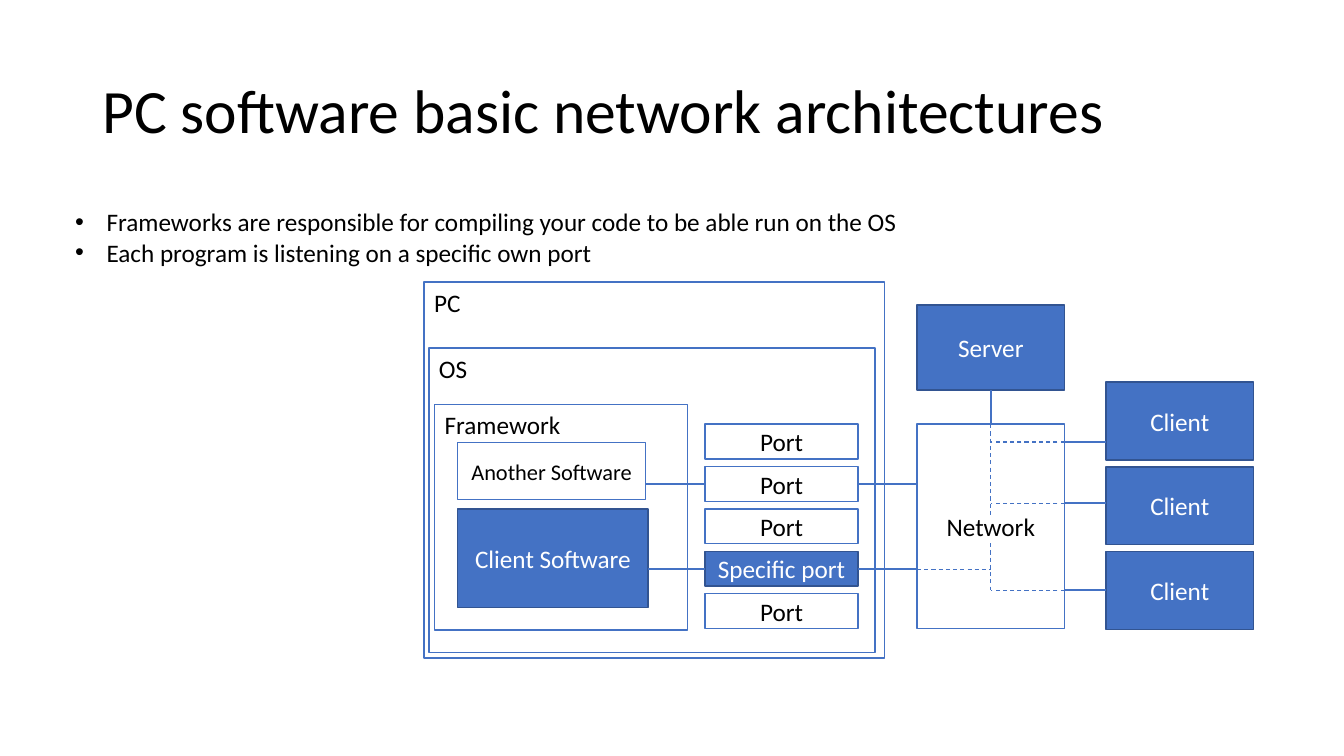
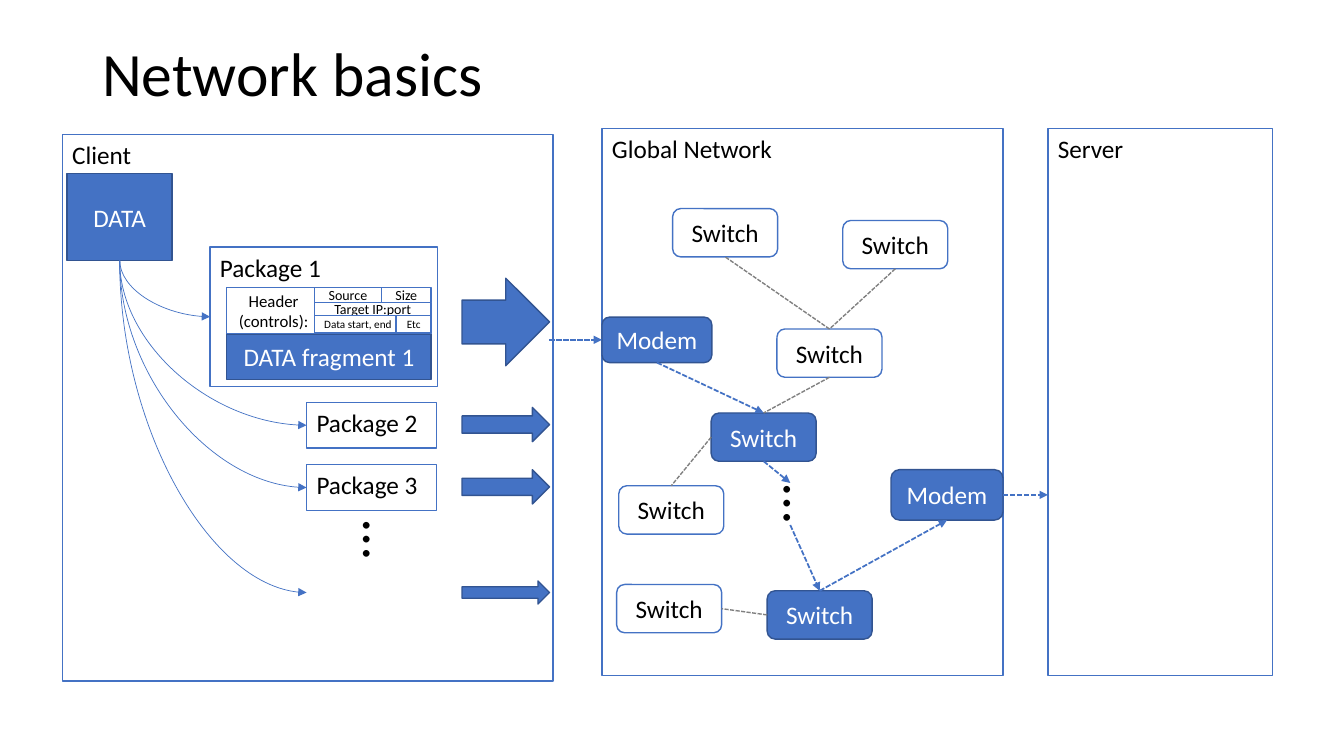
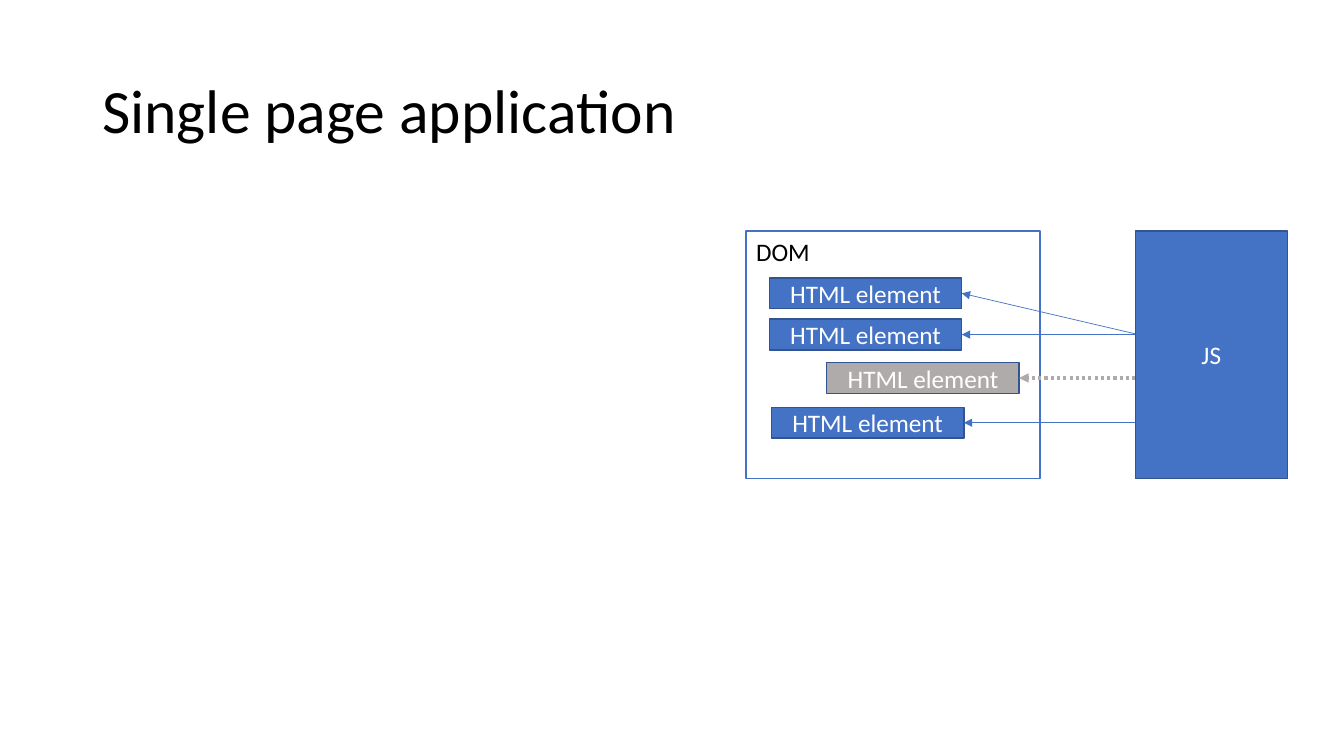
from lxml.etree import SubElement
from pptx import Presentation
from pptx.dml.color import RGBColor
from pptx.enum.dml import MSO_LINE
from pptx.enum.shapes import MSO_CONNECTOR, MSO_SHAPE
from pptx.enum.text import MSO_ANCHOR, PP_ALIGN
from pptx.oxml.ns import qn
from pptx.util import Pt

FONT = "Calibri"
COLORS = {
    "blue": "4472C4",
    "edge": "325491",
    "white": "FFFFFF",
    "black": "000000",
    "gray": "808080",
    "pale": "AFABAB",
}
RECT, ROUND = MSO_SHAPE.RECTANGLE, MSO_SHAPE.ROUNDED_RECTANGLE


def rgb(name):
    return RGBColor.from_string(COLORS[name])


def style(frame, size, color, align):
    for para in frame.paragraphs:
        para.alignment = align
        for run in para.runs:
            run.font.name = FONT
            run.font.size = Pt(size)
            run.font.color.rgb = rgb(color)


def label(slide, text, at, size=18, anchor=MSO_ANCHOR.TOP):
    """Add black, left-aligned text without a frame."""
    item = slide.shapes.add_textbox(*map(Pt, at))
    frame = item.text_frame
    frame.word_wrap = True
    frame.vertical_anchor = anchor
    frame.text = text
    style(frame, size, "black", PP_ALIGN.LEFT)
    return item


def title(slide, text, top=28.8):
    item = label(slide, text, (66, top, 828, 104.4), 44, MSO_ANCHOR.MIDDLE)
    item.text_frame.paragraphs[0].line_spacing = 0.9


def bullets(slide, items, at):
    frame = label(slide, "\n".join(items), at).text_frame
    for para in frame.paragraphs:
        props = para._p.get_or_add_pPr()
        props.set("marL", str(Pt(22.5)))
        props.set("indent", str(-Pt(22.5)))
        SubElement(props, qn("a:buFont")).set("typeface", "Arial")
        SubElement(props, qn("a:buChar")).set("char", "•")


def box(slide, text, at, fill="blue", kind=RECT, size=18, align=PP_ALIGN.CENTER):
    """Add a framed shape; white ones get a light frame and black text."""
    item = slide.shapes.add_shape(kind, *map(Pt, at))
    item.shadow.inherit = False
    item.fill.solid()
    item.fill.fore_color.rgb = rgb(fill)
    plain = fill == "white"
    item.line.color.rgb = rgb("blue" if plain else "edge")
    item.line.width = Pt(1)
    frame = item.text_frame
    frame.word_wrap = True
    frame.vertical_anchor = MSO_ANCHOR.MIDDLE
    frame.text = text
    style(frame, size, "black" if plain else "white", align)
    return item


def panel(slide, text, at):
    """Add a white box with its name in the top left corner."""
    item = box(slide, text, at, "white", align=PP_ALIGN.LEFT)
    item.text_frame.vertical_anchor = MSO_ANCHOR.TOP
    return item


def node(slide, text, at, fill="white"):
    return box(slide, text, at, fill, ROUND)


def joined(end):
    return hasattr(end[0], "shape_id")


def spot(end):
    """Give the point, in points, of an (x, y) or (shape, site) end."""
    if not joined(end):
        return end
    item, site = end
    across, down = ((0.5, 0), (0, 0.5), (0.5, 1), (1, 0.5))[site]
    left = item.left + item.width * across
    top = item.top + item.height * down
    return left / Pt(1), top / Pt(1)


def line(slide, start, end, color="blue", width=1.5, dash=None, arrow=False,
         kind=MSO_CONNECTOR.STRAIGHT):
    ends = [Pt(v) for v in (*spot(start), *spot(end))]
    item = slide.shapes.add_connector(kind, *ends)
    if joined(start):
        item.begin_connect(*start)
    if joined(end):
        item.end_connect(*end)
    item.line.color.rgb = rgb(color)
    item.line.width = Pt(width)
    if dash:
        item.line.dash_style = dash
    props = item._element.spPr
    if arrow:
        SubElement(props.find(qn("a:ln")), qn("a:tailEnd")).set("type", "triangle")
    SubElement(props, qn("a:effectLst"))
    return item


def curve(slide, start, end):
    """Add a quarter-turn arrow that leaves downwards and arrives rightwards."""
    item = line(slide, start, end, width=0.5, arrow=True, kind=MSO_CONNECTOR.CURVE)
    (x1, y1), (x2, y2) = spot(start), spot(end)
    wide, high = x2 - x1, y2 - y1
    item.left = Pt((x1 + x2 - high) / 2)
    item.top = Pt((y1 + y2 - wide) / 2)
    item.width, item.height = Pt(high), Pt(wide)
    props = item._element.spPr
    props.find(qn("a:prstGeom")).set("prst", "curvedConnector2")
    frame = props.find(qn("a:xfrm"))
    frame.set("rot", str(270 * 60000))
    frame.set("flipH", "1")


def design(slide):
    title(slide, "PC software basic network architectures")
    bullets(slide, (
        "Frameworks are responsible for compiling your code to be able run on the OS",
        "Each program is listening on a specific own port",
    ), (46.5, 144, 866, 51))
    panel(slide, "PC", (303, 201.5, 329, 268.5))
    panel(slide, "OS", (306.5, 248.5, 318.5, 217.5))
    panel(slide, "Framework", (310.5, 289, 180.5, 161))
    ports = []
    for row in range(5):
        text, fill = ("Specific port", "blue") if row == 3 else ("Port", "white")
        at = (503.5, 303 + 30.25 * row, 109.5, 25)
        ports.append(box(slide, text, at, fill))
    net = box(slide, "Network", (655, 303, 105.5, 146), "white")
    server = box(slide, "Server", (655, 218, 105.5, 60.5))
    clients = [box(slide, "Client", (790, 273 + 60.5 * row, 105.5, 55.5))
               for row in range(3)]
    box(slide, "Another Software", (327, 316, 134, 41), "white", size=16)
    box(slide, "Client Software", (327, 363.5, 136, 70.5))

    for right, port in ((461, ports[1]), (463, ports[3])):
        level = spot((port, 1))[1]
        line(slide, (right, level), (port, 1))
        line(slide, (port, 3), (655, level))
    line(slide, (server, 2), (net, 0))

    thin = {"width": 0.75, "dash": MSO_LINE.DASH}
    mid = spot((net, 0))[0]
    for end in ((790, 315.75), (790, 359.5), (clients[2], 1)):
        level = spot(end)[1]
        line(slide, (760.5, level), end)
        line(slide, (760.5, level), (mid, level), **thin)
    line(slide, (655, 406.5), (mid, 406.5), **thin)
    line(slide, (net, 0), (mid, 369.5), **thin)
    line(slide, (mid, 388), (mid, 421.75), **thin)


def sender(slide):
    """Draw the client that cuts its data into packages."""
    panel(slide, "Client", (44.5, 96, 350.5, 390.5))
    data = box(slide, "DATA", (48, 124, 75, 62))
    first = panel(slide, "Package 1", (150, 176.5, 162.5, 99.5))
    second = panel(slide, "Package 2", (219, 287.5, 93, 32.5))
    third = panel(slide, "Package 3", (219, 332, 93, 32.5))
    box(slide, "DATA fragment 1", (162, 238.5, 146, 32.5))
    box(slide, "Header\n(controls):", (162, 205.5, 67, 32.5), "white", size=12)
    left, center = PP_ALIGN.LEFT, PP_ALIGN.CENTER
    for text, at, size, align in (
        ("Source", (224.5, 205.5, 48, 10.5), 10, center),
        ("Size", (272.5, 205.5, 35.5, 10.5), 10, center),
        ("Target IP:port", (224.5, 216, 83.5, 9.5), 10, center),
        ("Data start, end", (224.5, 225.5, 83.5, 12.5), 8, left),
        ("Etc", (283, 225.5, 25, 12.5), 8, center),
    ):
        box(slide, text, at, "white", size=size, align=align)
    for mid, high in ((230, 62.5), (303.25, 24.5), (347.75, 24.5), (423.25, 16.5)):
        box(slide, "", (330, mid - high / 2, 62.5, high), kind=MSO_SHAPE.RIGHT_ARROW)
    for end in ((first, 1), (second, 1), (third, 1), (219, 423.25)):
        curve(slide, (data, 2), end)


def basics(slide):
    title(slide, "Network basics", 2.4)
    panel(slide, "Global Network", (430, 92, 286.5, 390.5))
    panel(slide, "Server", (748.5, 92, 160.5, 390.5))
    sender(slide)

    entry = node(slide, "Modem", (430, 226.5, 78.5, 32.5), "blue")
    leave = node(slide, "Modem", (636.5, 335.5, 80, 36), "blue")
    near, far = [node(slide, "Switch", (*at, 75, 34.5), "blue")
                 for at in ((508, 295), (548, 422))]
    hub, west, south, north, east = [
        node(slide, "Switch", (*at, 75, 34.5))
        for at in ((555, 235), (442, 347), (440.5, 417.5), (480.5, 149), (602, 157.5))
    ]
    for at in ((216.5, 395.5, 117.5, 55.5), (517, 370, 117.5, 55.5)):
        label(slide, "…", at, 40).rotation = 90

    for start, end in (
        ((392.5, 242.75), (entry, 1)),
        ((entry, 2), (near, 0)),
        ((near, 2), (564.5, 345)),
        ((564.5, 375), (far, 0)),
        ((far, 0), (leave, 2)),
        ((leave, 3), (748.5, 353.5)),
    ):
        line(slide, start, end, width=1.25, dash=MSO_LINE.SQUARE_DOT, arrow=True)
    for start, end in (
        ((hub, 2), (near, 0)),
        ((hub, 0), (north, 2)),
        ((east, 2), (hub, 0)),
        ((near, 1), (west, 0)),
        ((far, 1), (south, 3)),
    ):
        line(slide, start, end, "gray", 1, MSO_LINE.SQUARE_DOT)


def single(slide):
    title(slide, "Single page application")
    panel(slide, "DOM", (533, 165, 210, 177))
    box(slide, "JS", (811, 165, 108.5, 177))
    solid = ("blue", 0.5, None)
    dotted = ("pale", 2.25, MSO_LINE.ROUND_DOT)
    for left, top, level, look in (
        (549.5, 198.5, 238.5, solid),
        (549.5, 228, 239, solid),
        (590.5, 259, 270, dotted),
        (551, 291, 302, solid),
    ):
        part = box(slide, "HTML element", (left, top, 137.5, 22), look[0])
        line(slide, (811, level), (part, 3), *look, arrow=True)


def main():
    deck = Presentation()
    deck.slide_width, deck.slide_height = Pt(960), Pt(540)
    for draw in (design, basics, single):
        draw(deck.slides.add_slide(deck.slide_layouts[6]))
    deck.save("out.pptx")


if __name__ == "__main__":
    main()
